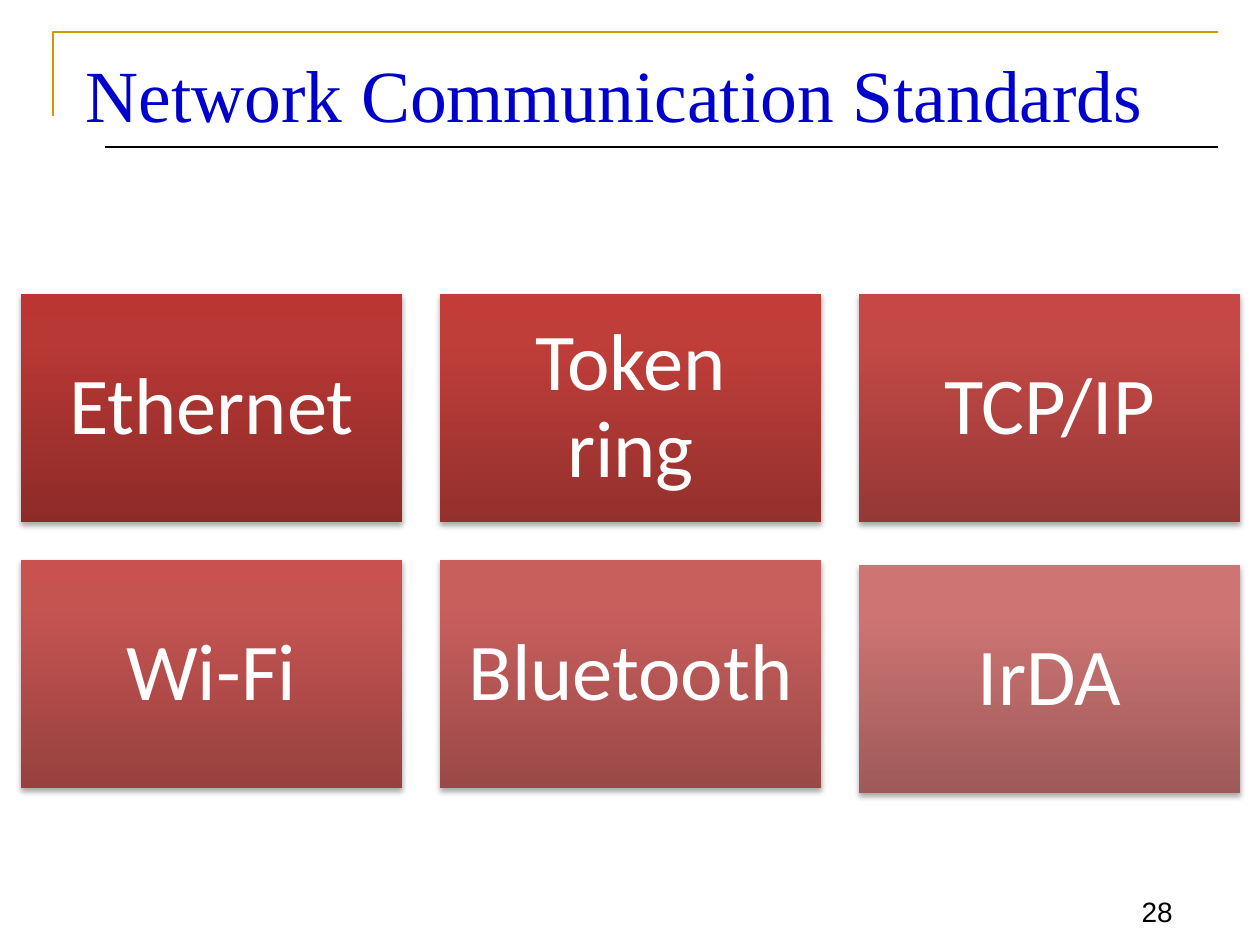
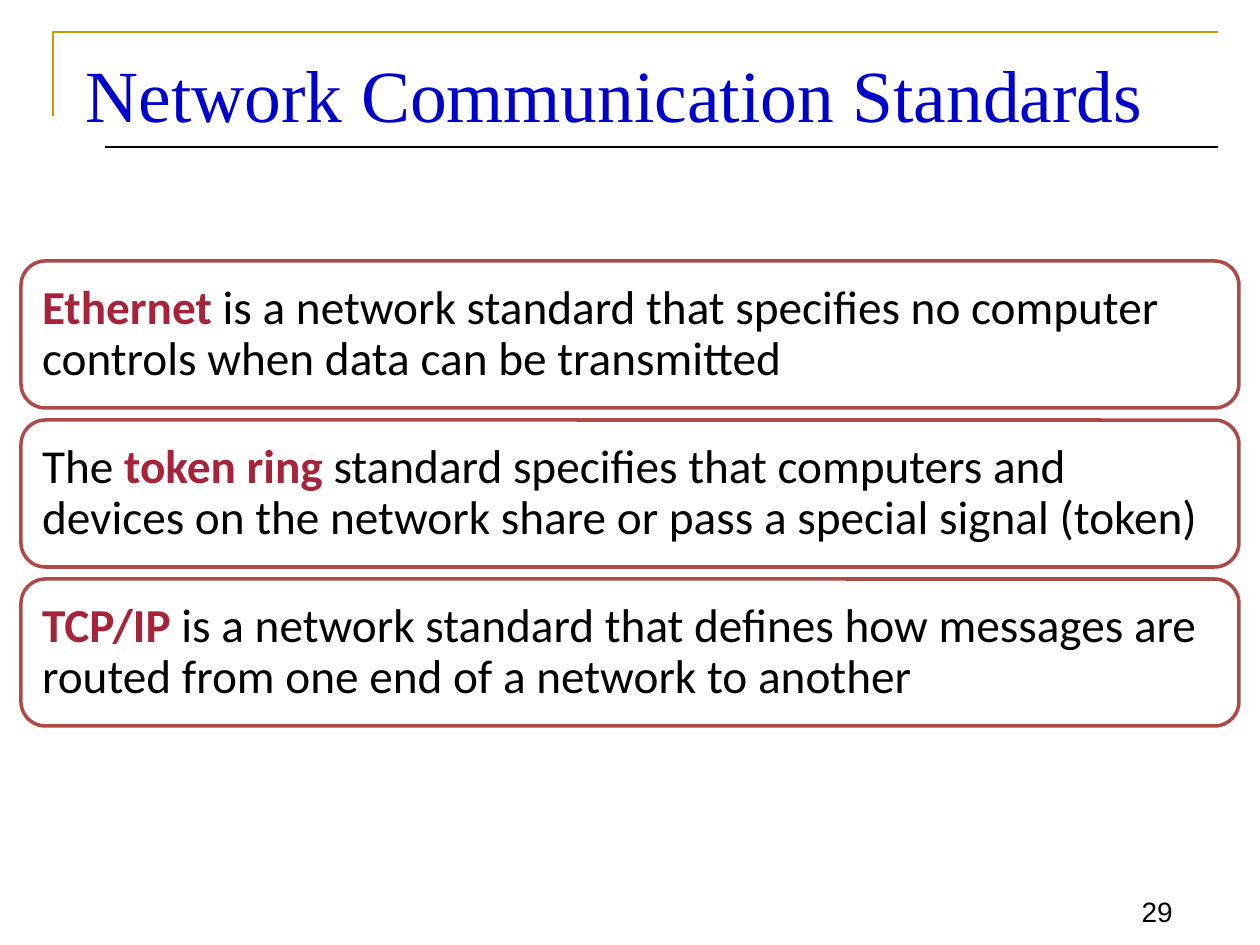
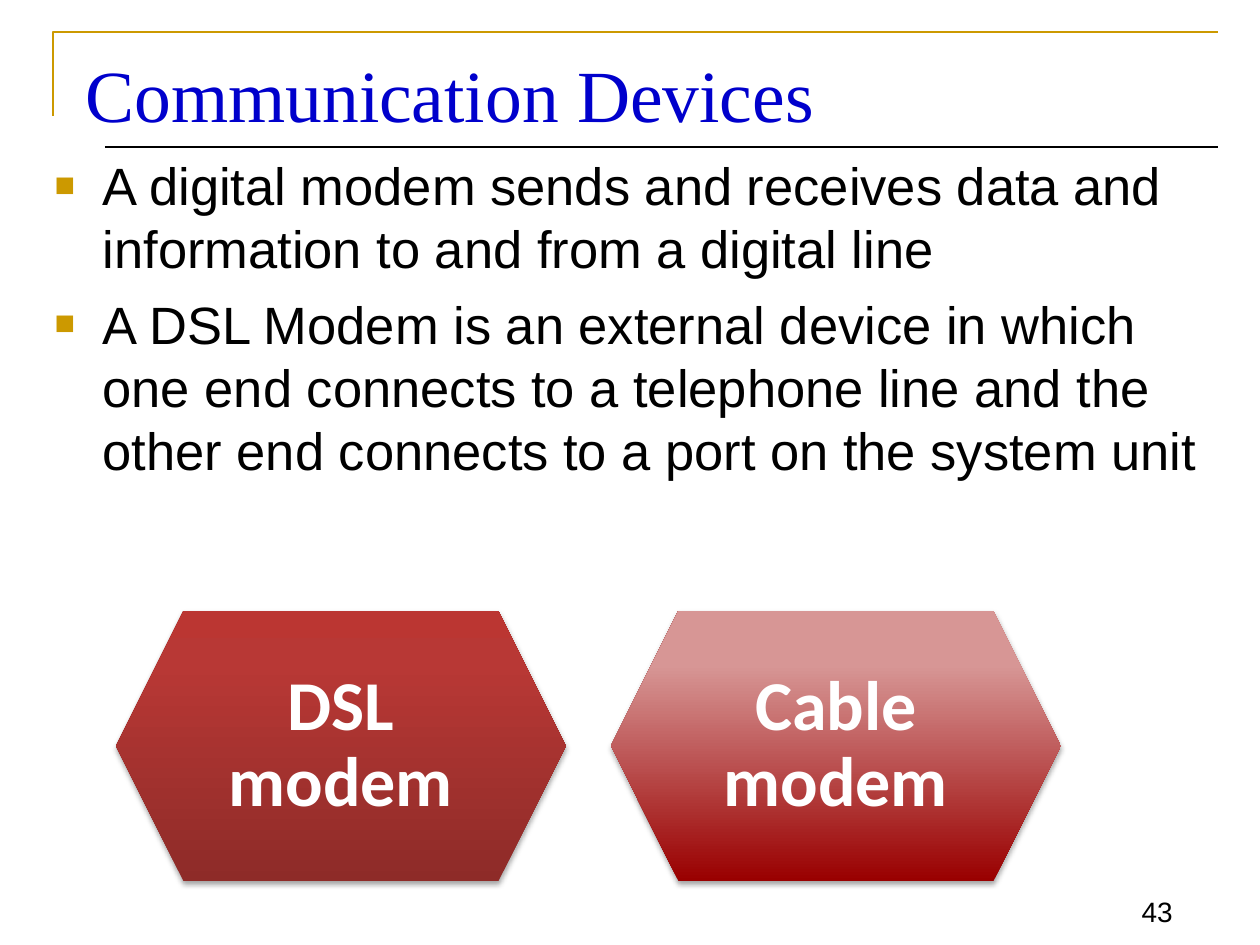
import pptx
import pptx.dml.color
import pptx.enum.shapes
import pptx.enum.text
import pptx.oxml
import pptx.oxml.ns
import pptx.util

RGBColor = pptx.dml.color.RGBColor
Shape = pptx.enum.shapes.MSO_SHAPE
Anchor = pptx.enum.text.MSO_ANCHOR
Align = pptx.enum.text.PP_ALIGN

# Content
STANDARDS_TITLE = "Network Communication Standards"
DEVICES_TITLE = "Communication Devices"
# label, gradient from bottom to top, downward nudge
STANDARDS = [
    ("Ethernet", ("8E2B28", "B83835", "BB3632"), 0),
    ("Token ring", ("94302D", "C03E3A", "C43C38"), 0),
    ("TCP/IP", ("963836", "C34946", "C64744"), 0),
    ("Wi-Fi", ("98413F", "C55451", "C95250"), 0),
    ("Bluetooth", ("9A4948", "C85F5D", "CB5E5B"), 0),
    ("IrDA", ("9E5A59", "CE7574", "D07472"), 5),
]
# each definition is a list of (text, is it the term)
DEFINITIONS = [
    [("Ethernet", True),
     (" is a network standard that specifies no computer controls when data can be transmitted", False)],
    [("The ", False), ("token ring ", True),
     ("standard specifies that computers and devices on the network share or pass a special signal (token)", False)],
    [("TCP/IP", True),
     (" is a network standard that defines how messages are routed from one end of a network to another", False)],
]
MODEM_POINTS = [
    "A digital modem sends and receives data and information to and from a digital line",
    "A DSL Modem is an external device in which one end connects to a telephone line "
    "and the other end connects to a port on the system unit",
]
MODEMS = [
    ("DSL modem", ("8E2B28", "B83835", "BB3632")),
    ("Cable modem", ("990000", "D79695", "D99594")),
]

# Shared style
BLACK = RGBColor(0x00, 0x00, 0x00)
WHITE = RGBColor(0xFF, 0xFF, 0xFF)
GOLD = RGBColor(0xCC, 0x99, 0x00)
BLUE = RGBColor(0x00, 0x00, 0xCC)
TERM_RED = RGBColor(0xA5, 0x24, 0x39)
BORDER_RED = RGBColor(0xAE, 0x49, 0x46)
SCALE = 914400 / 126
TITLE_ONLY, TITLE_AND_BODY = 5, 1


def px(length):
    return pptx.util.Emu(round(length * SCALE))


def place(shape, left, top, width, height):
    shape.left, shape.top, shape.width, shape.height = map(px, (left, top, width, height))


def write(para, text, *, size, font="Calibri", color=BLACK, bold=False,
          align=Align.LEFT, line=0.9, before=0):
    para.alignment = align
    para.line_spacing = line
    para.space_before = pptx.util.Pt(before)
    span = para.add_run()
    span.text = text
    span.font.size = pptx.util.Pt(size)
    span.font.name = font
    span.font.bold = bold
    span.font.color.rgb = color


def set_frame(shape, anchor, margin=None):
    frame = shape.text_frame
    frame.word_wrap = True
    frame.auto_size = pptx.enum.text.MSO_AUTO_SIZE.NONE
    frame.vertical_anchor = anchor
    if margin is not None:
        frame.margin_left = frame.margin_right = px(margin)
        frame.margin_top = frame.margin_bottom = px(margin)
    return frame


def drawing_xml(tag, content, attributes=""):
    space = pptx.oxml.ns.nsdecls("a")
    return pptx.oxml.parse_xml(f"<a:{tag} {space} {attributes}>{content}</a:{tag}>")


def add_gradient_card(page, kind, box, label, colors, margin, size, bold=False):
    card = page.shapes.add_shape(kind, *map(px, box))
    stops = "".join(
        f'<a:gs pos="{place_at * 1000}"><a:srgbClr val="{color}"/></a:gs>'
        for place_at, color in zip((0, 80, 100), colors))
    properties = card.element.spPr
    properties.append(drawing_xml(
        "gradFill", f'<a:gsLst>{stops}</a:gsLst><a:lin ang="16200000" scaled="0"/>',
        'rotWithShape="1"'))
    card.line.fill.background()
    card.shadow.inherit = False
    properties.find(pptx.oxml.ns.qn("a:effectLst")).append(drawing_xml(
        "outerShdw", '<a:srgbClr val="000000"><a:alpha val="35000"/></a:srgbClr>',
        'blurRad="40000" dist="23000" dir="5400000" rotWithShape="0"'))
    frame = set_frame(card, Anchor.MIDDLE, margin)
    write(frame.paragraphs[0], label, size=size, color=WHITE, bold=bold, align=Align.CENTER)


def add_page(deck, layout, title, number):
    page = deck.slides.add_slide(deck.slide_layouts[layout])

    # Gold corner and thin rule
    builder = page.shapes.build_freeform(53, 116, scale=SCALE)
    builder.add_line_segments([(53, 32), (1218, 32)], close=False)
    corner = builder.convert_to_shape()
    corner.fill.background()
    corner.line.color.rgb = GOLD
    corner.line.width = pptx.util.Pt(1.5)
    corner.shadow.inherit = False
    rule = page.shapes.add_connector(
        pptx.enum.shapes.MSO_CONNECTOR.STRAIGHT, px(105), px(147), px(1218), px(147))
    rule.line.color.rgb = BLACK
    rule.line.width = pptx.util.Pt(0.75)
    rule.element.spPr.append(drawing_xml("effectLst", ""))

    # Title and page number
    place(page.shapes.title, 73, 42, 1144, 94)
    frame = set_frame(page.shapes.title, Anchor.TOP)
    write(frame.paragraphs[0], title, size=42, font="Times New Roman", color=BLUE,
          line=pptx.util.Pt(51))
    box = page.shapes.add_textbox(px(1102), px(872), px(83), px(62))
    frame = set_frame(box, Anchor.BOTTOM)
    write(frame.paragraphs[0], str(number), size=16, font="Arial", align=Align.RIGHT, line=1.0)
    return page


def build_standards(deck):
    page = add_page(deck, TITLE_ONLY, STANDARDS_TITLE, 28)
    width, height, gap = 381, 228, 38
    for index, (label, colors, nudge) in enumerate(STANDARDS):
        row, column = divmod(index, 3)
        box = (21 + column * (width + gap), 294 + row * (height + gap) + nudge, width, height)
        add_gradient_card(page, Shape.RECTANGLE, box, label, colors, margin=24, size=46)


def build_definitions(deck):
    page = add_page(deck, TITLE_ONLY, STANDARDS_TITLE, 29)
    height, gap = 147, 12
    for index, definition in enumerate(DEFINITIONS):
        top = 261 + index * (height + gap)
        panel = page.shapes.add_shape(
            Shape.ROUNDED_RECTANGLE, px(21), px(top), px(1218), px(height))
        panel.fill.solid()
        panel.fill.fore_color.rgb = WHITE
        panel.line.color.rgb = BORDER_RED
        panel.line.width = pptx.util.Pt(2)
        panel.shadow.inherit = False
        para = set_frame(panel, Anchor.MIDDLE, 14).paragraphs[0]
        for text, is_term in definition:
            write(para, text, size=27, color=TERM_RED if is_term else BLACK, bold=is_term)


def build_devices(deck):
    page = add_page(deck, TITLE_AND_BODY, DEVICES_TITLE, 43)

    # Bulleted list
    body = page.placeholders[1]
    place(body, 42, 147, 1176, 357)
    frame = set_frame(body, Anchor.TOP)
    for index, point in enumerate(MODEM_POINTS):
        para = frame.add_paragraph() if index else frame.paragraphs[0]
        write(para, point, size=30, font="Arial", line=pptx.util.Pt(36), before=7)
        properties = para._p.get_or_add_pPr()
        properties.set("marL", str(px(48)))
        properties.set("indent", str(px(-48)))
        properties.append(drawing_xml("buClr", f'<a:srgbClr val="{GOLD}"/>'))
        properties.append(drawing_xml("buSzPct", "", 'val="65000"'))
        properties.append(drawing_xml("buFont", "", 'typeface="Arial"'))
        properties.append(drawing_xml("buChar", "", 'char="■"'))

    # Modem hexagons
    width, height, gap = 450, 270, 45
    for index, (label, colors) in enumerate(MODEMS):
        box = (116 + index * (width + gap), 611, width, height)
        add_gradient_card(page, Shape.HEXAGON, box, label, colors, margin=21, size=40, bold=True)


def main():
    deck = pptx.Presentation()
    deck.slide_width, deck.slide_height = px(1260), px(945)
    build_standards(deck)
    build_definitions(deck)
    build_devices(deck)
    deck.save("out.pptx")


if __name__ == "__main__":
    main()
